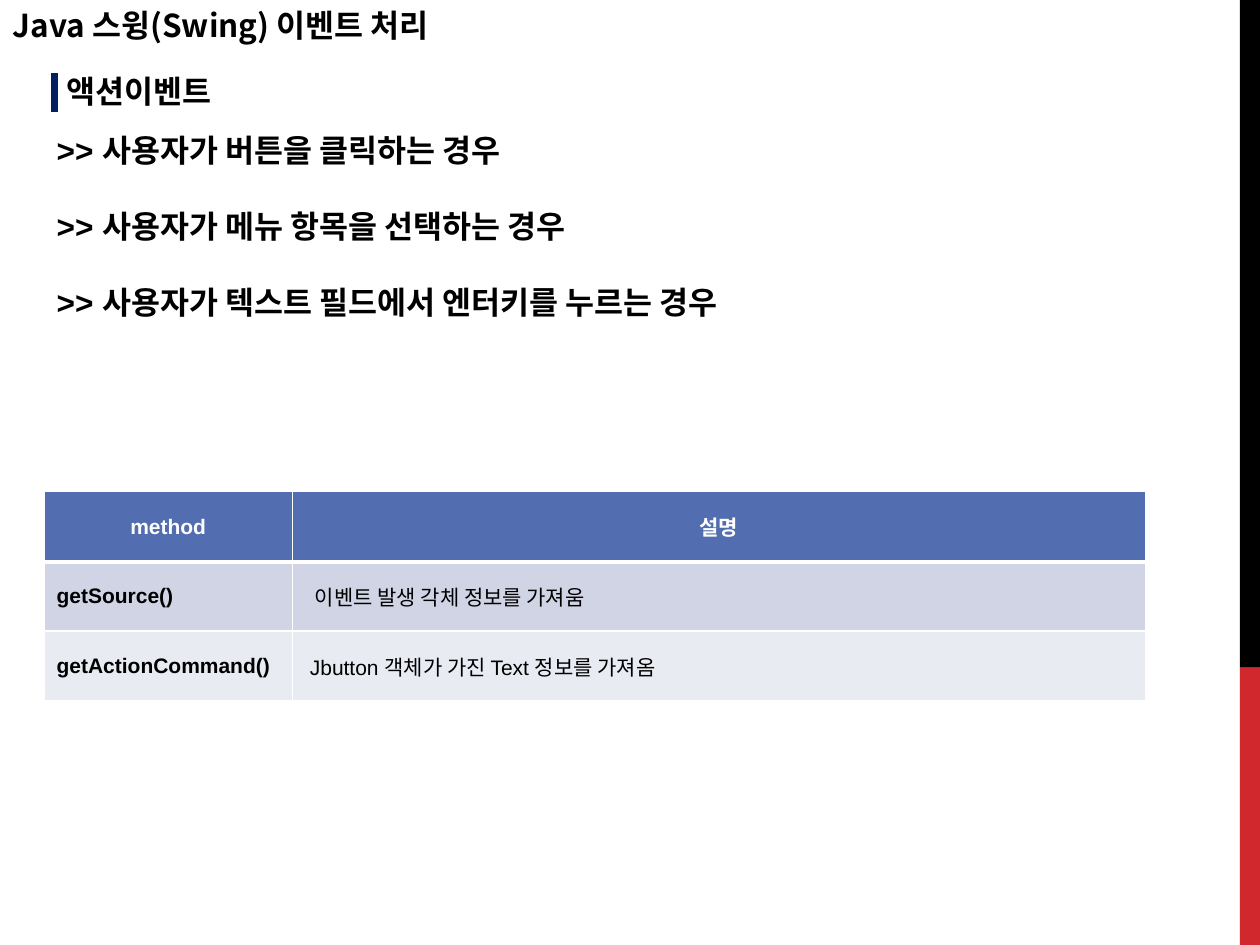
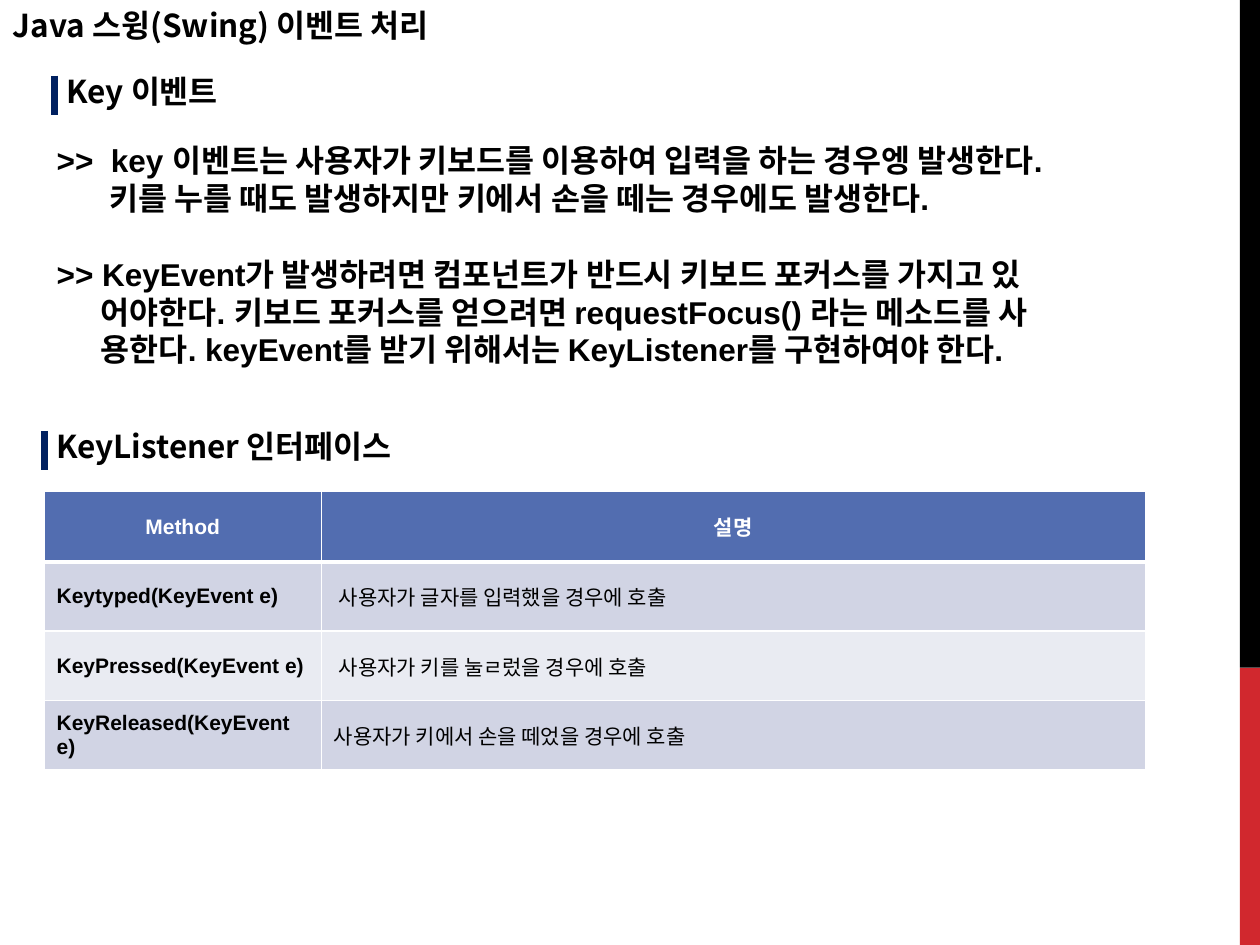
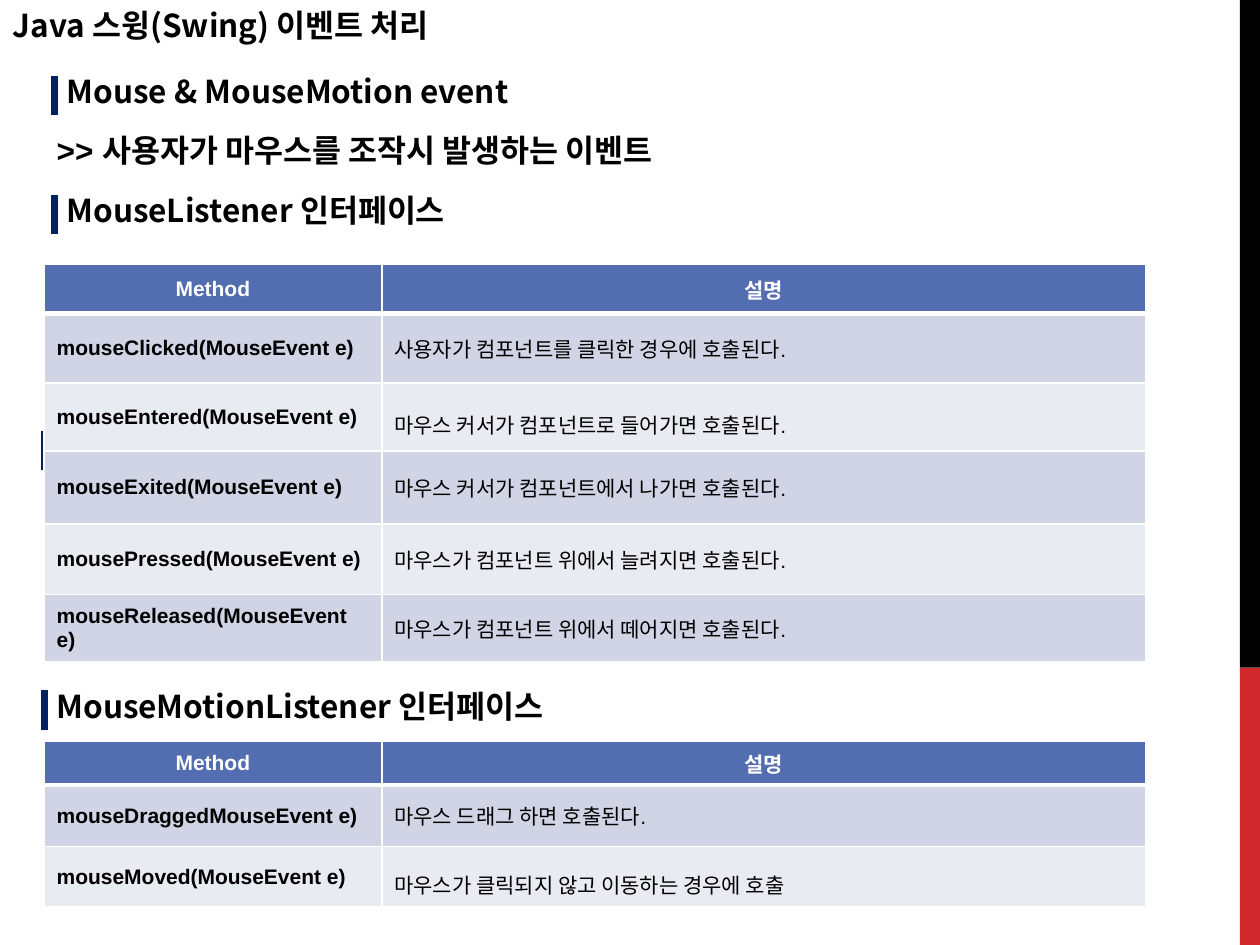
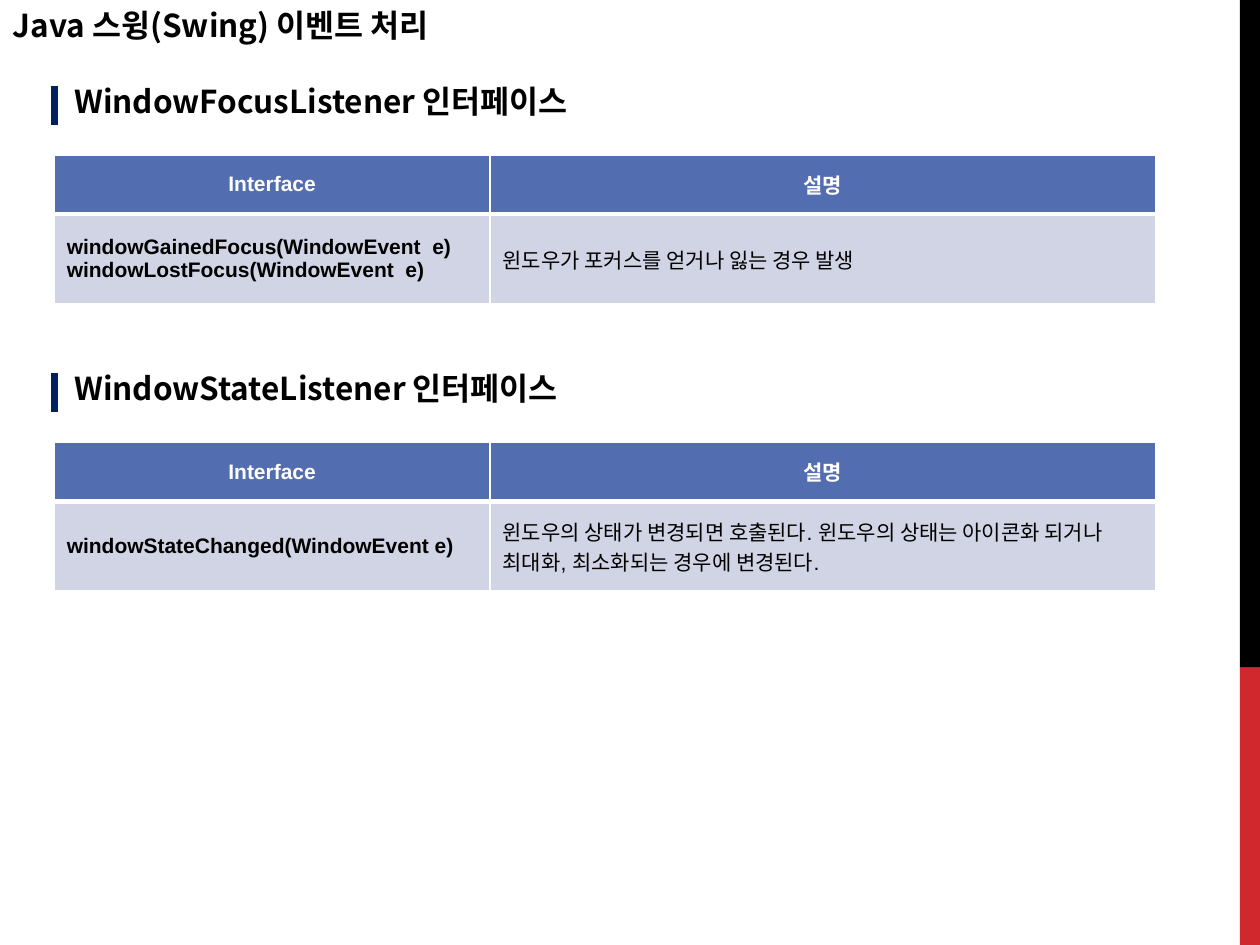
from typing import NamedTuple, Optional

from lxml.etree import SubElement
from pptx import Presentation
from pptx.dml.color import RGBColor
from pptx.enum.shapes import MSO_CONNECTOR, MSO_SHAPE
from pptx.enum.text import MSO_ANCHOR, MSO_AUTO_SIZE, PP_ALIGN
from pptx.oxml.ns import qn
from pptx.util import Inches, Pt

BLACK = RGBColor(0x00, 0x00, 0x00)
WHITE = RGBColor(0xFF, 0xFF, 0xFF)
RED = RGBColor(0xD1, 0x28, 0x2E)
NAVY = RGBColor(0x00, 0x20, 0x60)
HEADER_BLUE = RGBColor(0x52, 0x6D, 0xB0)
ROW_FILLS = (RGBColor(0xD1, 0xD4, 0xE4), RGBColor(0xE9, 0xEB, 0xF2))

LATIN_FONT = "Arial"
KOREAN_FONT = "Noto Sans CJK KR"

TITLE = "Java 스윙(Swing) 이벤트 처리"
TEXT_WIDTH = 8.74
LINE_HEIGHT = 0.4
BAND_LEFT, BAND_WIDTH = 9.84, 0.16
BAND_SPLIT, SLIDE_HEIGHT = 5.3, 7.5
CONTENT_LAYOUT, TITLE_LAYOUT = 1, 5


class Row(NamedTuple):
    method: str
    description: str
    indent: float = 0
    line_spacing: Optional[float] = None


class ListItem(NamedTuple):
    text: str
    hanging: float = 0


def style_paragraph(paragraph, size, name=LATIN_FONT, bold=True, color=BLACK):
    font = paragraph.font
    font.size, font.bold, font.name = Pt(size), bold, name
    font.color.rgb = color
    properties = paragraph._p.get_or_add_pPr().find(qn("a:defRPr"))
    SubElement(properties, qn("a:ea")).set("typeface", KOREAN_FONT)


def place(shape, left, top, width, height):
    shape.left, shape.top = Inches(left), Inches(top)
    shape.width, shape.height = Inches(width), Inches(height)


def prepare_frame(shape):
    frame = shape.text_frame
    frame.word_wrap = True
    frame.auto_size = MSO_AUTO_SIZE.SHAPE_TO_FIT_TEXT
    frame.vertical_anchor = MSO_ANCHOR.TOP
    return frame


def add_master_bands(presentation, slide):
    """Draw the right-hand bands, then move them to the slide master."""
    bands = ((BAND_SPLIT, SLIDE_HEIGHT - BAND_SPLIT, RED), (0, BAND_SPLIT, BLACK))
    master_tree = presentation.slide_master.shapes.element
    for index, (top, height, color) in enumerate(bands):
        band = slide.shapes.add_shape(
            MSO_SHAPE.RECTANGLE, Inches(BAND_LEFT), Inches(top),
            Inches(BAND_WIDTH), Inches(height))
        band.shadow.inherit = False
        band.fill.solid()
        band.fill.fore_color.rgb = color
        band.line.fill.background()
        band.element.nvSpPr.cNvPr.set("id", str(100 + index))
        master_tree.insert(2 + index, band.element)


def add_slide(presentation, layout=CONTENT_LAYOUT):
    slide = presentation.slides.add_slide(presentation.slide_layouts[layout])
    title = slide.shapes.title
    place(title, 0, 0, TEXT_WIDTH, LINE_HEIGHT)
    frame = prepare_frame(title)
    frame.text = TITLE
    frame.paragraphs[0].alignment = PP_ALIGN.LEFT
    style_paragraph(frame.paragraphs[0], 18, KOREAN_FONT)
    return slide


def add_bar(slide, left, top):
    bar = slide.shapes.add_connector(
        MSO_CONNECTOR.STRAIGHT, Inches(left), Inches(top),
        Inches(left), Inches(top + 0.31))
    bar.line.color.rgb = NAVY
    bar.line.width = Pt(4)
    SubElement(bar.element.spPr, qn("a:effectLst"))


def add_heading(slide, text, left, top, bar_offset=0.08, indent=0):
    box = slide.shapes.add_textbox(
        Inches(left), Inches(top), Inches(TEXT_WIDTH), Inches(LINE_HEIGHT))
    frame = prepare_frame(box)
    frame.margin_left = Inches(0.1 + indent)
    frame.text = text
    style_paragraph(frame.paragraphs[0], 18, KOREAN_FONT)
    add_bar(slide, left, top + bar_offset)


def fill_list(slide, items, top, height):
    body = slide.placeholders[1]
    place(body, 0.35, top, 8.48, height)
    frame = prepare_frame(body)
    for index, item in enumerate(items):
        paragraph = frame.add_paragraph() if index else frame.paragraphs[0]
        paragraph.text = item.text
        paragraph.space_before = Pt(21.7 if index else 0)
        properties = paragraph._p.get_or_add_pPr()
        properties.set("marL", str(Inches(item.hanging)))
        properties.set("indent", str(-Inches(item.hanging)))
        SubElement(properties, qn("a:buNone"))
        style_paragraph(paragraph, 18)


def set_borders(cell, top_width, bottom_width):
    properties = cell._tc.get_or_add_tcPr()
    widths = {"lnL": 1, "lnR": 1, "lnT": top_width, "lnB": bottom_width}
    for tag, width in widths.items():
        line = SubElement(properties, qn(f"a:{tag}"), w=str(Pt(width)))
        fill = SubElement(line, qn("a:solidFill"))
        SubElement(fill, qn("a:srgbClr"), val=str(WHITE))


def write_cell(cell, text, fill, borders=(1, 1), bold=True, color=BLACK,
               alignment=None, indent=0, line_spacing=None):
    set_borders(cell, *borders)
    cell.fill.solid()
    cell.fill.fore_color.rgb = fill
    cell.vertical_anchor = MSO_ANCHOR.MIDDLE
    cell.margin_left = Inches(0.1 + indent)
    cell.text = text
    for paragraph in cell.text_frame.paragraphs:
        paragraph.alignment = alignment
        paragraph.line_spacing = line_spacing
        style_paragraph(paragraph, 12, bold=bold, color=color)


def add_method_table(slide, left, top, first_width, heights, header, rows):
    """Add a two-column table: bold method names, then what they do."""
    table = slide.shapes.add_table(
        len(heights), 2, Inches(left), Inches(top),
        Inches(TEXT_WIDTH), Inches(sum(heights))).table
    table.first_row = table.horz_banding = False
    table.columns[0].width = Inches(first_width)
    table.columns[1].width = Inches(TEXT_WIDTH - first_width)
    for table_row, height in zip(table.rows, heights):
        table_row.height = Inches(height)
    for column, text in enumerate((header, "설명")):
        write_cell(table.cell(0, column), text, HEADER_BLUE, borders=(1, 3),
                   color=WHITE, alignment=PP_ALIGN.CENTER)
    for index, row in enumerate(rows, start=1):
        fill = ROW_FILLS[(index - 1) % 2]
        borders = (3 if index == 1 else 1, 1)
        write_cell(table.cell(index, 0), row.method, fill, borders)
        write_cell(table.cell(index, 1), row.description, fill, borders,
                   bold=False, indent=row.indent, line_spacing=row.line_spacing)


def build_action_slide(slide):
    add_heading(slide, "액션이벤트", 0.43, 0.52, bar_offset=0.06)
    fill_list(slide, (
        ListItem(">> 사용자가 버튼을 클릭하는 경우"),
        ListItem(">> 사용자가 메뉴 항목을 선택하는 경우"),
        ListItem(">> 사용자가 텍스트 필드에서 엔터키를 누르는 경우"),
    ), 0.99, 1.62)
    add_method_table(slide, 0.35, 3.9, 1.97, (0.56, 0.55, 0.55), "method", (
        Row("getSource()", "이벤트 발생 각체 정보를 가져움", indent=0.08),
        Row("getActionCommand()", "Jbutton 객체가 가진 Text 정보를 가져옴", indent=0.04),
    ))


def build_key_slide(slide):
    add_heading(slide, "Key 이벤트", 0.43, 0.52)
    fill_list(slide, (
        ListItem(">>  key 이벤트는 사용자가 키보드를 이용하여 입력을 하는 경우엥 발생한다.\v"
                 "키를 누를 때도 발생하지만 키에서 손을 떼는 경우에도 발생한다.", 0.42),
        ListItem(">> KeyEvent가 발생하려면 컴포넌트가 반드시 키보드 포커스를 가지고 있\v"
                 "어야한다. 키보드 포커스를 얻으려면 requestFocus() 라는 메소드를 사\v"
                 "용한다. keyEvent를 받기 위해서는 KeyListener를 구현하여야 한다.", 0.35),
    ), 1.07, 1.92)
    add_heading(slide, "KeyListener 인터페이스", 0.35, 3.34)
    add_method_table(slide, 0.35, 3.9, 2.2, (0.56, 0.55, 0.55, 0.55), "Method", (
        Row("Keytyped(KeyEvent e)", "사용자가 글자를 입력했을 경우에 호출", indent=0.04),
        Row("KeyPressed(KeyEvent e)", "사용자가 키를 눌ㄹ렀을 경우에 호출", indent=0.04),
        Row("KeyReleased(KeyEvent e)", "사용자가 키에서 손을 떼었을 경우에 호출"),
    ))


def build_mouse_slide(slide):
    add_heading(slide, "Mouse & MouseMotion event", 0.43, 0.52)
    fill_list(slide, (ListItem(">> 사용자가 마우스를 조작시 발생하는 이벤트"),),
              0.99, LINE_HEIGHT)
    add_heading(slide, "MouseListener 인터페이스", 0.43, 1.47)
    add_bar(slide, 0.35, 3.42)
    add_method_table(
        slide, 0.35, 2.1, 2.68, (0.39, 0.55, 0.54, 0.58, 0.56, 0.53), "Method", (
            Row("mouseClicked(MouseEvent e)", "사용자가 컴포넌트를 클릭한 경우에 호출된다."),
            Row("mouseEntered(MouseEvent e)", "마우스 커서가 컴포넌트로 들어가면 호출된다.",
                line_spacing=1.5),
            Row("mouseExited(MouseEvent e)", "마우스 커서가 컴포넌트에서 나가면 호출된다."),
            Row("mousePressed(MouseEvent e)", "마우스가 컴포넌트 위에서 늘려지면 호출된다."),
            Row("mouseReleased(MouseEvent e)", "마우스가 컴포넌트 위에서 떼어지면 호출된다."),
        ))
    add_heading(slide, "MouseMotionListener 인터페이스", 0.35, 5.4)
    add_method_table(slide, 0.35, 5.88, 2.68, (0.35, 0.49, 0.48), "Method", (
        Row("mouseDraggedMouseEvent e)", "마우스 드래그 하면 호출된다."),
        Row("mouseMoved(MouseEvent e)", "마우스가 클릭되지 않고 이동하는 경우에 호출",
            line_spacing=1.5),
    ))


def build_window_slide(slide):
    sections = (
        ("WindowFocusListener 인터페이스", Row(
            "windowGainedFocus(WindowEvent  e)\nwindowLostFocus(WindowEvent  e)",
            "윈도우가 포커스를 얻거나 잃는 경우 발생")),
        ("WindowStateListener 인터페이스", Row(
            "windowStateChanged(WindowEvent e)",
            "윈도우의 상태가 변경되면 호출된다. 윈도우의 상태는 아이콘화 되거나 "
            "최대화, 최소화되는 경우에 변경된다.")),
    )
    for index, (heading, row) in enumerate(sections):
        top = 0.6 + index * 2.28
        add_heading(slide, heading, 0.43, top, indent=0.06)
        add_method_table(slide, 0.43, top + 0.63, 3.46, (0.47, 0.71),
                         "Interface", (row,))


def main():
    presentation = Presentation()
    presentation.slide_width = Inches(10)
    presentation.slide_height = Inches(SLIDE_HEIGHT)
    action_slide = add_slide(presentation)
    add_master_bands(presentation, action_slide)
    build_action_slide(action_slide)
    build_key_slide(add_slide(presentation))
    build_mouse_slide(add_slide(presentation))
    build_window_slide(add_slide(presentation, TITLE_LAYOUT))
    presentation.save("out.pptx")


if __name__ == "__main__":
    main()
